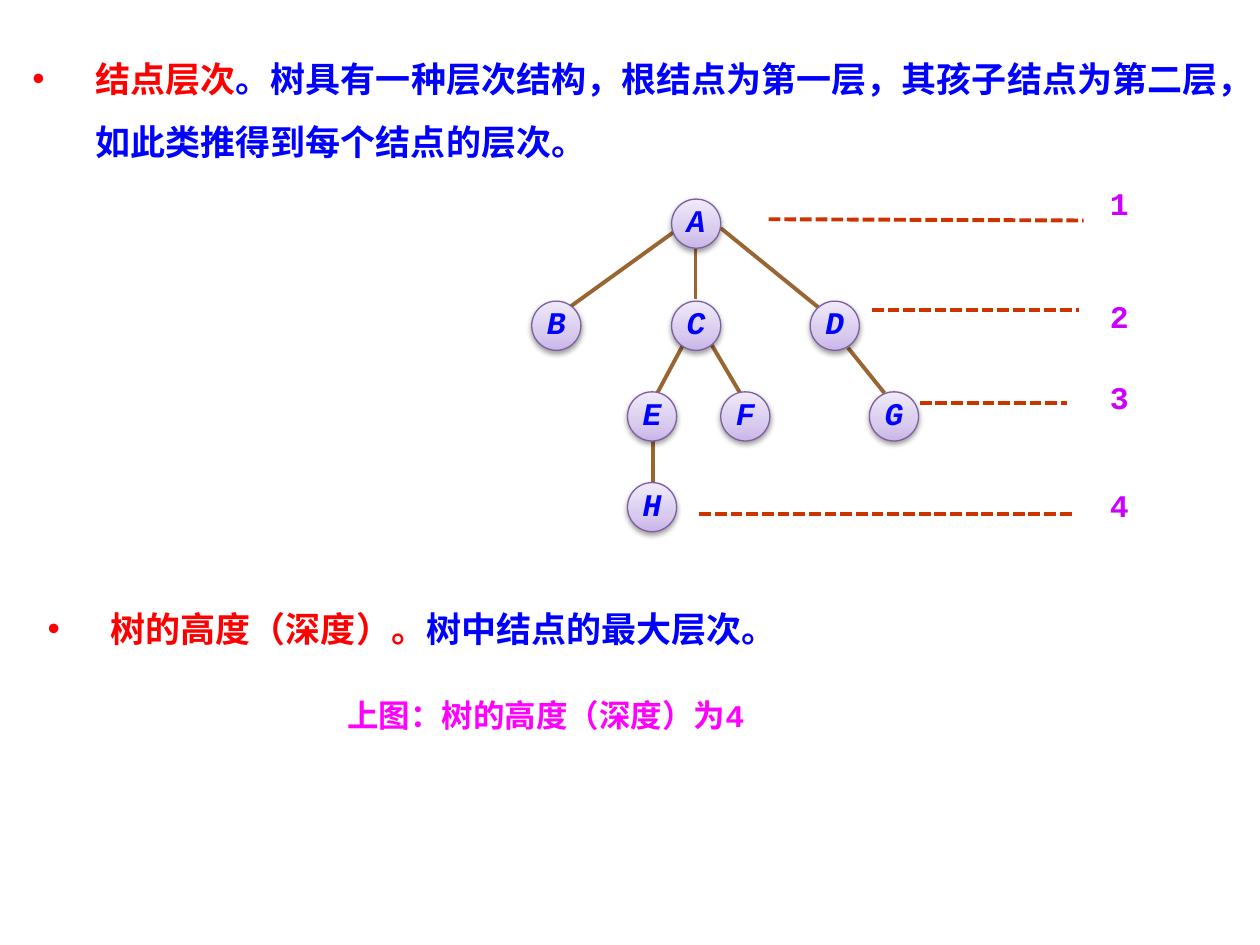
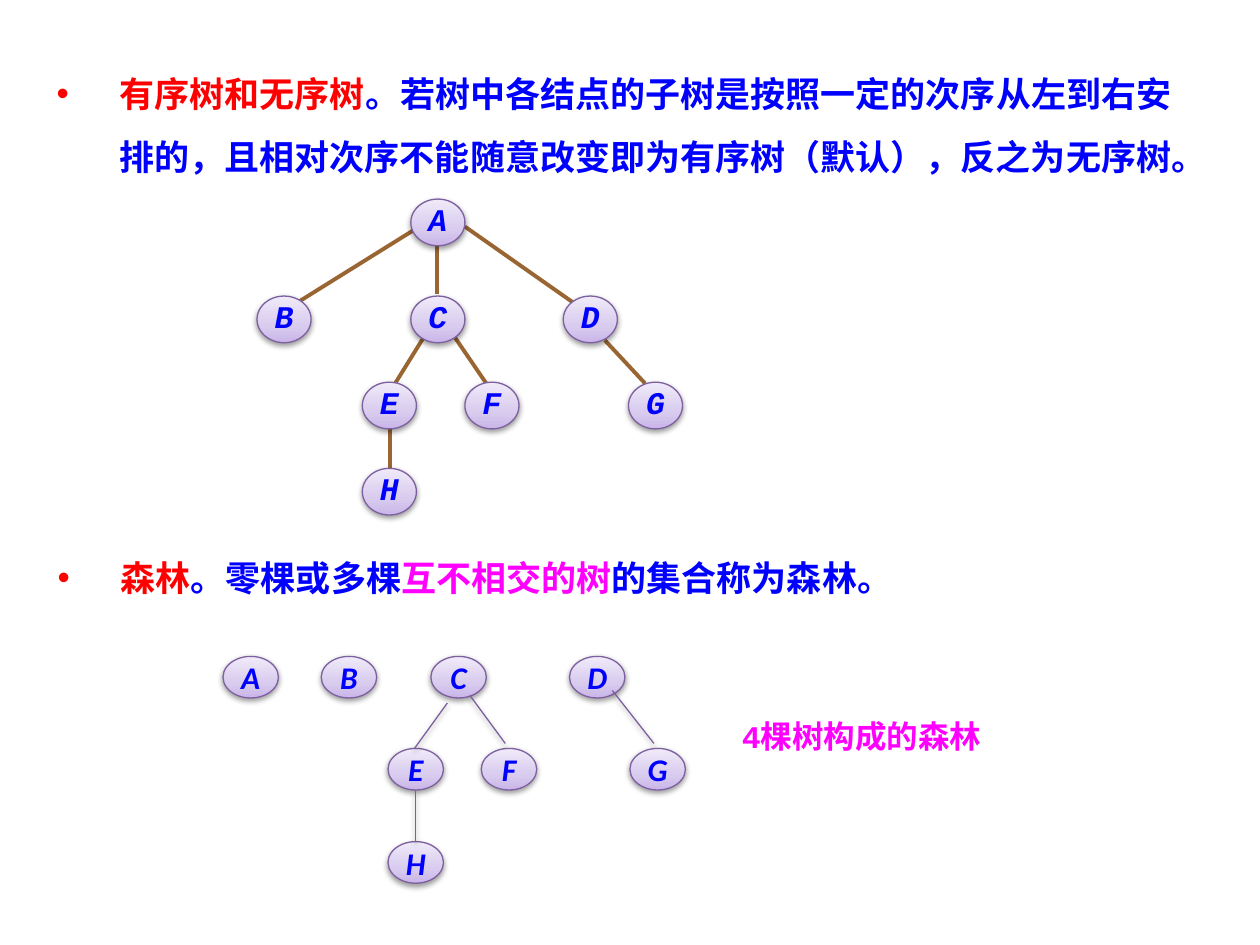
from dataclasses import dataclass

from lxml import etree
from pptx import Presentation
from pptx import util as u
from pptx.dml.color import RGBColor
from pptx.enum import dml, shapes, text
from pptx.oxml.ns import qn


# Colours, fonts and sizes shared by both slides
@dataclass(frozen=True)
class Theme:
    term: str = "FF0000"
    body: str = "0000FF"
    note: str = "FF00FF"
    level: str = "CC00FF"
    branch: str = "996633"
    dash: str = "CC3300"
    rim: str = "7D60A0"
    fill: tuple = ((0, "C9B5E8"), (35, "D8CBEE"), (100, "F0EAF9"))
    mono: str = "Courier New"
    sans: str = "Calibri"
    han: str = "Noto Sans CJK SC"
    big: int = 20
    small: int = 18
    thick: float = 2.25
    thin: float = 0.75


T = Theme()

# The sample tree, measured from its top left corner
TREE = {"A": (1.11, 0), "B": (0, 0.81), "C": (1.11, 0.81), "D": (2.21, 0.81),
        "E": (0.76, 1.53), "F": (1.5, 1.53), "G": (2.68, 1.53), "H": (0.76, 2.25)}
LINKS = [(1.5, 0.23, 2.3, 0.88), (1.13, 0.26, 0.27, 0.88), (1.3, 0.39, 1.3, 0.79),
         (1.2, 1.16, 0.97, 1.59), (1.43, 1.16, 1.66, 1.55),
         (2.51, 1.18, 2.8, 1.54), (0.96, 1.92, 0.96, 2.25)]
NODE = 0.39

# The forest left when root A is cut off, in slide inches
FOREST = {"A": (1.77, 5.21), "B": (2.55, 5.21), "C": (3.42, 5.21), "D": (4.52, 5.21),
          "E": (3.08, 5.94), "F": (3.82, 5.94), "G": (5, 5.94), "H": (3.08, 6.68)}
TWIGS = [(3.55, 5.58, 3.29, 5.94), (3.73, 5.52, 4.01, 5.9),
         (4.86, 5.48, 5.19, 5.9), (3.3, 6.27, 3.3, 6.68)]

# Level number: top of its label, then its dashed line
LEVELS = [(1.47, (6.1, 1.74, 8.6, 1.75)), (2.37, (6.92, 2.46, 8.56, 2.46)),
          (3.01, (7.3, 3.2, 8.47, 3.2)), (3.87, (5.55, 4.08, 8.52, 4.08))]


def inch(*nums):
    return [u.Inches(n) for n in nums]


def style(run, size, color, face=T.mono, slant=None):
    font = run.font
    font.size, font.name, font.bold, font.italic = u.Pt(size), face, True, slant
    font.color.rgb = RGBColor.from_string(color)
    etree.SubElement(run._r.rPr, qn("a:ea"), typeface=T.han)


def shade(props):
    """Give a shape or line a soft shadow straight below it."""
    effect = props.find(qn("a:effectLst"))
    outer = etree.SubElement(effect, qn("a:outerShdw"), blurRad="40000", dist="20000",
                             dir="5400000", rotWithShape="0")
    black = etree.SubElement(outer, qn("a:srgbClr"), val="000000")
    etree.SubElement(black, qn("a:alpha"), val="38000")


def write(slide, box, parts, size=T.small, space=None):
    """Add a text box whose runs are (words, colour) or (words, colour, face)."""
    frame = slide.shapes.add_textbox(*inch(*box)).text_frame
    frame.word_wrap = True
    para = frame.paragraphs[0]
    para.line_spacing = space
    for words, *look in parts:
        run = para.add_run()
        run.text = words
        style(run, size, *look)
    return para


def bullet(slide, box, parts, space=None):
    para = write(slide, box, parts, T.big, space)
    props = para._p.get_or_add_pPr()
    hang = u.Inches(0.5)
    props.set("marL", str(hang))
    props.set("indent", str(-hang))
    etree.SubElement(props, qn("a:buFont"), typeface="Arial")
    etree.SubElement(props, qn("a:buChar"), char="•")


def link(slide, ends, color, width, dash=None, shadow=False):
    line = slide.shapes.add_connector(shapes.MSO_CONNECTOR.STRAIGHT, *inch(*ends))
    line.line.color.rgb = RGBColor.from_string(color)
    line.line.width = u.Pt(width)
    if dash:
        line.line.dash_style = dash
    props = line._element.spPr
    etree.SubElement(props, qn("a:effectLst"))
    if shadow:
        shade(props)


def node(slide, name, box, face, space=None):
    oval = slide.shapes.add_shape(shapes.MSO_SHAPE.OVAL, *inch(*box))
    # Three-stop gradient, dark at the bottom
    oval.fill.gradient()
    oval.fill.gradient_angle = 90
    props = oval._element.spPr
    stops = props.find(".//" + qn("a:gsLst"))
    for old in list(stops):
        stops.remove(old)
    for place, color in T.fill:
        stop = etree.SubElement(stops, qn("a:gs"), pos=str(place * 1000))
        etree.SubElement(stop, qn("a:srgbClr"), val=color)
    oval.line.color.rgb = RGBColor.from_string(T.rim)
    oval.line.width = u.Pt(T.thin)
    oval.shadow.inherit = False
    shade(props)
    # Letter
    frame = oval.text_frame
    frame.text = name
    frame.word_wrap = False
    frame.margin_left = frame.margin_right = 0
    frame.vertical_anchor = text.MSO_ANCHOR.MIDDLE
    para = frame.paragraphs[0]
    para.alignment = text.PP_ALIGN.CENTER
    para.line_spacing = space
    style(para.runs[0], T.small, T.body, face, True)


def tree(slide, left, top, wide=1, tall=1):
    """Draw the sample tree, stretched by the given factors."""
    def fit(x, y):
        return left + x * wide, top + y * tall

    for x1, y1, x2, y2 in LINKS:
        link(slide, fit(x1, y1) + fit(x2, y2), T.branch, T.thick)
    for name, spot in TREE.items():
        node(slide, name, fit(*spot) + (NODE * wide, NODE * tall), T.mono, 0.8)


def forest(slide):
    for name, spot in FOREST.items():
        node(slide, name, spot + (0.44, 0.33), T.sans)
    for ends in TWIGS:
        link(slide, ends, T.rim, T.thin, shadow=True)


def depth(slide):
    """Levels of nodes and height of a tree."""
    bullet(slide, (0.16, 0.24, 9.64, 1.05), [
        ("结点层次", T.term, T.han),
        ("。树具有一种层次结构，根结点为第一层，其孩子结点为第二层，如此类推得到每个结点的层次。", T.body)], 1.5)
    for rank, (top, ends) in enumerate(LEVELS, 1):
        write(slide, (8.71, top, 0.39, 0.34), [(str(rank), T.level)], space=0.8)
        link(slide, ends, T.dash, T.thick, dml.MSO_LINE.SQUARE_DOT)
    tree(slide, 4.22, 1.58)
    bullet(slide, (0.28, 4.77, 8.52, 0.44), [
        ("树的高度（深度）", T.term, T.han), ("。", T.term),
        ("树中结点的最大层次。", T.body, T.han)])
    write(slide, (2.66, 5.53, 4.17, 0.34), [("上图：树的高度（深度）为4", T.note)], space=0.8)


def order(slide):
    """Ordered trees and forests."""
    bullet(slide, (0.36, 4.37, 8.33, 0.44), [
        ("森林", T.term, T.han), ("。零棵或多棵", T.body),
        ("互不相交的树", T.note), ("的集合称为森林。", T.body)])
    forest(slide)
    write(slide, (5.79, 5.64, 2.89, 0.4), [("4棵树构成的森林", T.note)])
    bullet(slide, (0.35, 0.36, 9.31, 1.05), [
        ("有序树和无序树", T.term, T.han),
        ("。若树中各结点的子树是按照一定的次序从左到右安排的，且相对次序不能随意改变即为有序树（默认），反之为无序树。", T.body)], 1.5)
    tree(slide, 2.04, 1.58, 1.1, 0.95)


def main():
    deck = Presentation()
    deck.slide_width, deck.slide_height = inch(10, 7.5)
    for draw in (depth, order):
        draw(deck.slides.add_slide(deck.slide_layouts[6]))
    deck.save("out.pptx")


if __name__ == "__main__":
    main()
